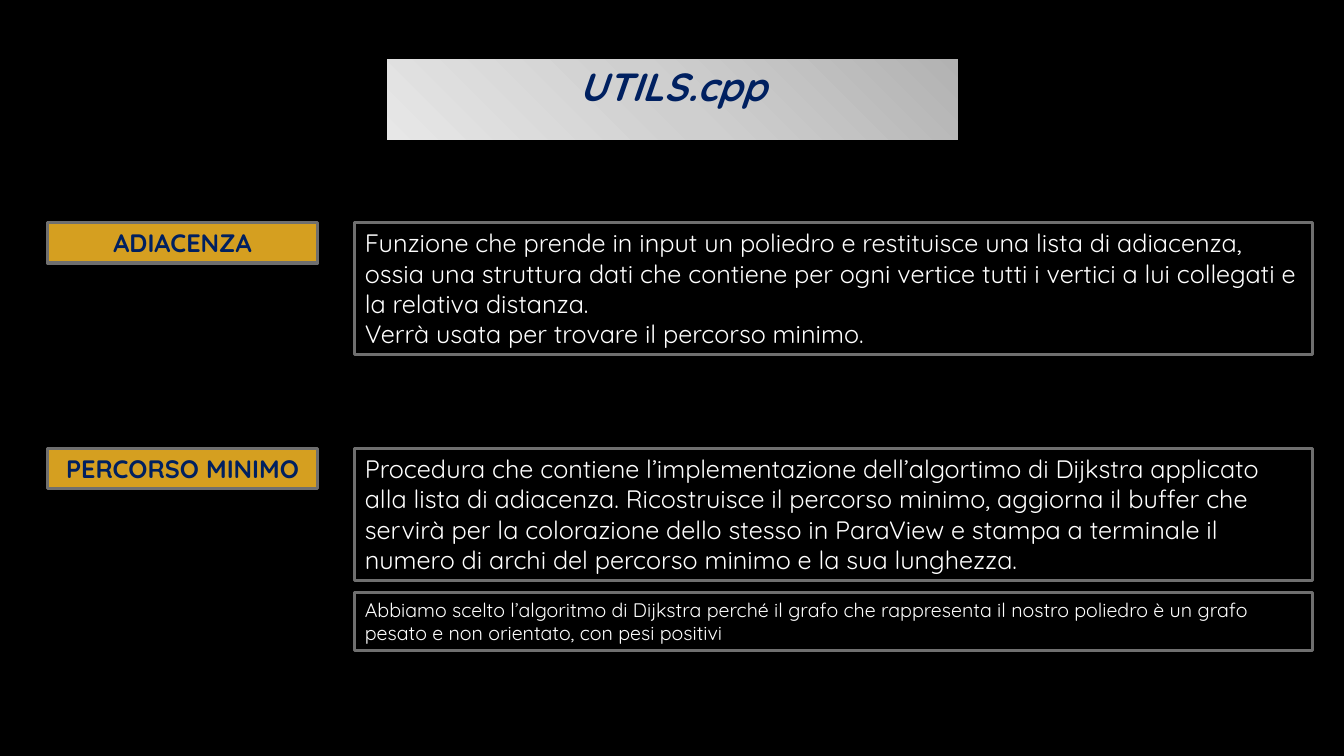
from lxml.etree import SubElement
from pptx import Presentation
from pptx.dml.color import RGBColor
from pptx.enum.text import MSO_ANCHOR, MSO_AUTO_SIZE, PP_ALIGN
from pptx.oxml.ns import qn
from pptx.util import Inches, Pt

FONT = "Quicksand"
BLACK, WHITE, NAVY = "000000", "FFFFFF", "002060"
GOLD, GREY = "D59F20", "6F6F6F"
SILVER_STOPS = [(0, "B2B2B2"), (50, "CFCFCF"), (100, "E7E7E7")]

LABEL_LEFT, LABEL_WIDTH, LABEL_HEIGHT = 0.47, 2.68, 0.4
TEXT_LEFT, TEXT_WIDTH, TEXT_HEIGHT = 3.52, 9.5, 1.31
NOTE_GAP, NOTE_HEIGHT = 0.12, 0.57

# Heading, paragraphs, optional remark
ADJACENCY = (
    "ADIACENZA",
    ["Funzione che prende in input un poliedro e restituisce una lista di adiacenza, "
     "ossia una struttura dati che contiene per ogni vertice tutti i vertici a lui "
     "collegati e la relativa distanza.",
     "Verrà usata per trovare il percorso minimo."],
    None,
)
SHORTEST_PATH = (
    "PERCORSO MINIMO",
    ["Procedura che contiene l’implementazione dell’algortimo di Dijkstra applicato "
     "alla lista di adiacenza. Ricostruisce il percorso minimo, aggiorna il buffer che "
     "servirà per la colorazione dello stesso in ParaView e stampa a terminale il "
     "numero di archi del percorso minimo e la sua lunghezza."],
    "Abbiamo scelto l’algoritmo di Dijkstra perché il grafo che rappresenta il nostro "
    "poliedro è un grafo pesato e non orientato, con pesi positivi",
)


def rgb(value):
    return RGBColor.from_string(value)


def outline(box, color):
    box.line.color.rgb = rgb(color)
    box.line.width = Pt(2.25)


def write(box, paragraphs, size, color, align=PP_ALIGN.LEFT, bold=False, italic=False):
    frame = box.text_frame
    frame.text = "\n".join(paragraphs)
    frame.word_wrap = True
    frame.auto_size = MSO_AUTO_SIZE.SHAPE_TO_FIT_TEXT
    frame.vertical_anchor = MSO_ANCHOR.TOP
    for paragraph in frame.paragraphs:
        paragraph.alignment = align
        for run in paragraph.runs:
            run.font.name = FONT
            run.font.size = Pt(size)
            run.font.bold = bold
            run.font.italic = italic
            run.font.color.rgb = rgb(color)


def framed_box(slide, left, top, width, height):
    box = slide.shapes.add_textbox(Inches(left), Inches(top), Inches(width), Inches(height))
    outline(box, GREY)
    return box


def add_title(slide, left, top, width, height):
    title = slide.shapes.title
    title.left, title.top = Inches(left), Inches(top)
    title.width, title.height = Inches(width), Inches(height)
    write(title, ["UTILS.cpp"], 28, NAVY, PP_ALIGN.CENTER, bold=True, italic=True)

    # Three-stop silver gradient
    title.fill.gradient()
    title.fill.gradient_angle = 225  # counter-clockwise
    stop_list = title.element.spPr.find(qn("a:gradFill")).find(qn("a:gsLst"))
    for stop in list(stop_list):
        stop_list.remove(stop)
    for percent, color in SILVER_STOPS:
        stop = SubElement(stop_list, qn("a:gs"), pos=str(percent * 1000))
        SubElement(stop, qn("a:srgbClr"), val=color)
    outline(title, BLACK)


def add_function_section(slide, top, content):
    heading, paragraphs, remark = content

    # Gold label
    label = framed_box(slide, LABEL_LEFT, top, LABEL_WIDTH, LABEL_HEIGHT)
    label.fill.solid()
    label.fill.fore_color.rgb = rgb(GOLD)
    write(label, [heading], 18, NAVY, PP_ALIGN.CENTER, bold=True)

    # Description
    description = framed_box(slide, TEXT_LEFT, top, TEXT_WIDTH, TEXT_HEIGHT)
    write(description, paragraphs, 18, WHITE)

    # Remark below the description
    if remark:
        note = framed_box(slide, TEXT_LEFT, top + TEXT_HEIGHT + NOTE_GAP,
                          TEXT_WIDTH, NOTE_HEIGHT)
        write(note, [remark], 14, WHITE)


def main():
    deck = Presentation()
    deck.slide_width, deck.slide_height = Inches(13.33), Inches(7.5)
    slide = deck.slides.add_slide(deck.slide_layouts[5])
    slide.background.fill.solid()
    slide.background.fill.fore_color.rgb = rgb(BLACK)

    add_title(slide, 3.82, 0.57, 5.7, 0.57)
    add_function_section(slide, 2.21, ADJACENCY)
    add_function_section(slide, 4.45, SHORTEST_PATH)
    deck.save("out.pptx")


if __name__ == "__main__":
    main()
